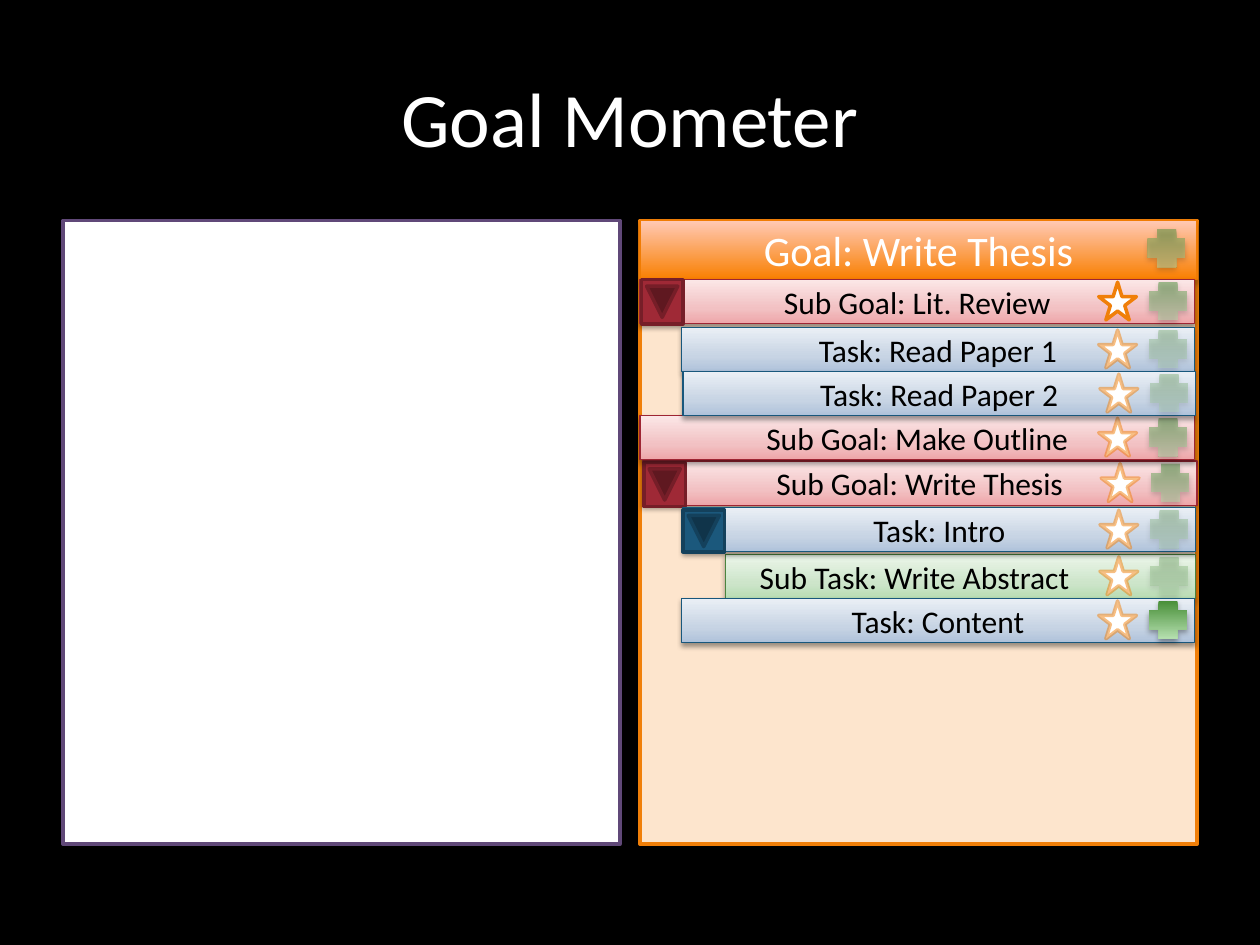
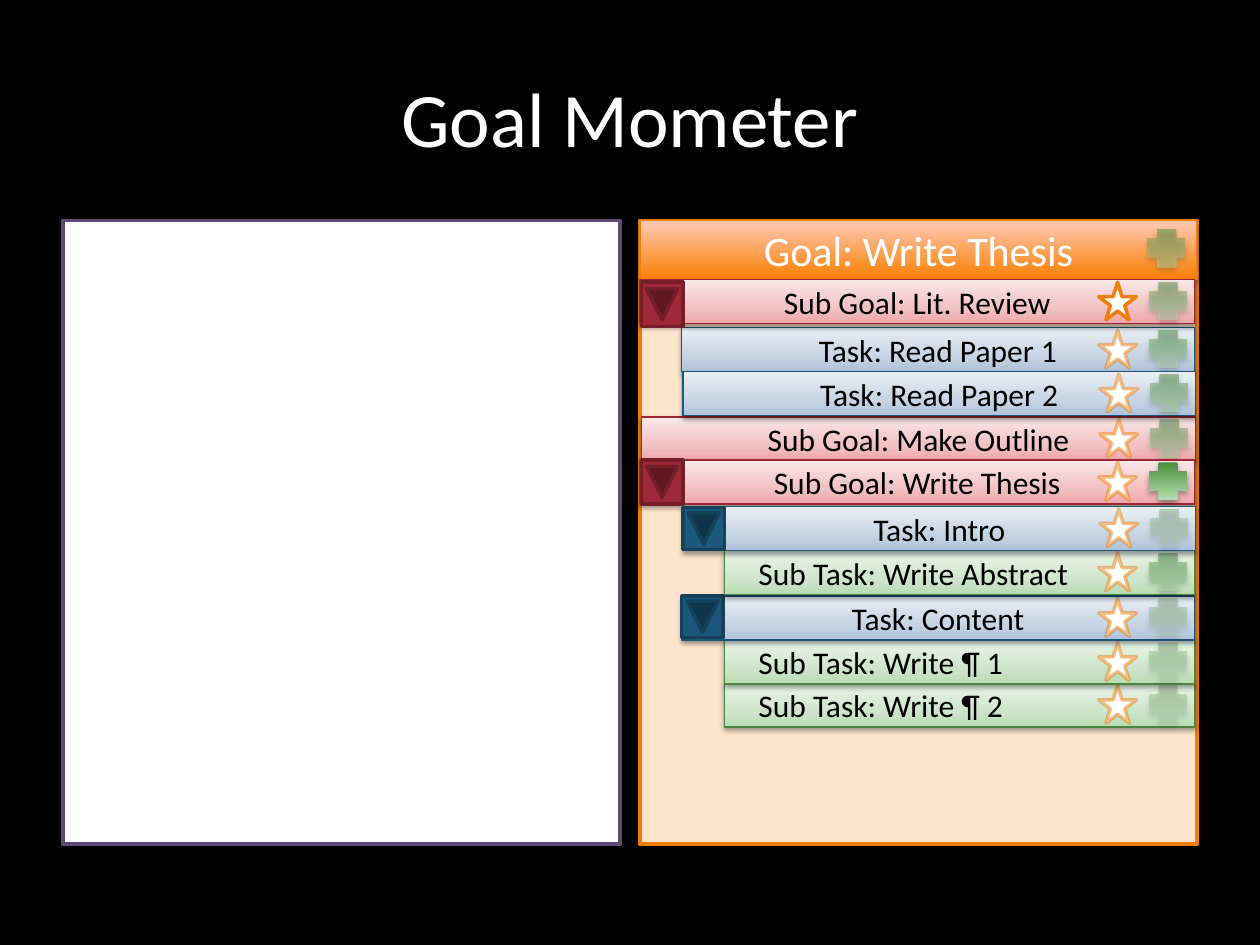
import pptx
import pptx.dml.color
import pptx.enum.shapes
import pptx.enum.text
import pptx.oxml.ns
import pptx.oxml.xmlchemy
import pptx.util
from dataclasses import dataclass
from typing import Optional

Inches = pptx.util.Inches
Pt = pptx.util.Pt
SHAPE = pptx.enum.shapes.MSO_SHAPE
ALIGN = pptx.enum.text.PP_ALIGN
MIDDLE = pptx.enum.text.MSO_ANCHOR.MIDDLE
qn = pptx.oxml.ns.qn
new_element = pptx.oxml.xmlchemy.OxmlElement

FONT = "Calibri"
BLACK, WHITE, ORANGE = "000000", "FFFFFF", "F07F09"
PANEL_TOP, PANEL_WIDTH, PANEL_HEIGHT = 1.75, 4.42, 4.95
NOTES_LEFT, GOAL_LEFT = 0.5, 5.08
ROW_RIGHT, ROW_HEIGHT = 9.48, 0.35
ICON_SIZE, ICON_INSET = 0.3, 0.02
PLUS_LEFT, STAR_LEFT = 9.12, 8.72
GOAL_GRADIENT = [(0, "F97F00"), (100, "FFC9B5")]
PLUS_GRADIENT = [(0, "488F38"), (100, "B5DFAF")]


@dataclass
class Level:
    left: float
    gradient: list
    line: str
    toggle_width: float = 0.33
    toggle_fill: str = ""
    toggle_line: str = ""
    centred: bool = True


@dataclass
class Row:
    level: Level
    label: str
    top: float
    plus_opacity: int = 50
    star_opacity: int = 50
    toggle_inset: Optional[float] = None
    nudge: float = 0


SUB_GOAL = Level(5.08, [(0, "EEA6A9"), (35, "F2C1C3"), (100, "FBE7E7")],
                 "9E2533", 0.35, "9F2936", "761E28")
TASK = Level(5.41, [(0, "AFC2DA"), (35, "C7D4E4"), (100, "EAEFF5")],
             "18577C", 0.33, "1B587C", "14415C")
SUB_TASK = Level(5.75, [(0, "B8DCB3"), (35, "CDE5CA"), (100, "ECF6EA")],
                 "4B843F", centred=False)

LIT_REVIEW = "Sub Goal: Lit. Review"
MAKE_OUTLINE = "Sub Goal: Make Outline"
WRITE_THESIS = "Sub Goal: Write Thesis"
PAPER_1, PAPER_2 = "Task: Read Paper 1", "Task: Read Paper 2"
INTRO, CONTENT = "Task: Intro", "Task: Content"
ABSTRACT = "Sub Task: Write Abstract"

FIRST_PLAN = [
    Row(SUB_GOAL, WRITE_THESIS, 3.66, toggle_inset=0.02, nudge=0.02),
    Row(SUB_TASK, ABSTRACT, 4.4, 30, nudge=0.01),
    Row(TASK, INTRO, 4.03, 30, toggle_inset=0.02, nudge=0.01),
    Row(TASK, CONTENT, 4.75, 100),
    Row(SUB_GOAL, MAKE_OUTLINE, 3.3),
    Row(SUB_GOAL, LIT_REVIEW, 2.22, star_opacity=100, toggle_inset=0.01),
    Row(TASK, PAPER_1, 2.6, 30),
    Row(TASK, PAPER_2, 2.95, 30, nudge=0.01),
]
EXPANDED_PLAN = [
    Row(SUB_TASK, "Sub Task: Write ¶ 2", 5.42, 30),
    Row(SUB_TASK, "Sub Task: Write ¶ 1", 5.08, 30),
    Row(TASK, CONTENT, 4.73, 30, toggle_inset=0),
    Row(SUB_TASK, ABSTRACT, 4.37),
    Row(SUB_GOAL, MAKE_OUTLINE, 3.31, nudge=0.01),
    Row(TASK, PAPER_1, 2.6),
    Row(SUB_GOAL, LIT_REVIEW, 2.22, star_opacity=100, toggle_inset=0.03),
    Row(TASK, PAPER_2, 2.95, nudge=0.01),
    Row(SUB_GOAL, WRITE_THESIS, 3.65, 100, toggle_inset=0.01),
    Row(TASK, INTRO, 4.02, 30, toggle_inset=0.01, nudge=0.01),
]


def rgb(value):
    return pptx.dml.color.RGBColor.from_string(value)


def set_opacity(colour_element, percent):
    if percent < 100:
        alpha = new_element("a:alpha")
        alpha.set("val", str(percent * 1000))
        colour_element.append(alpha)


def add_colour(parent, value, opacity):
    colour = new_element("a:srgbClr")
    colour.set("val", value)
    set_opacity(colour, opacity)
    parent.append(colour)


def add_block(shapes, kind, left, top, width, height, line=None, line_width=2, fill=None):
    block = shapes.add_shape(kind, Inches(left), Inches(top), Inches(width), Inches(height))
    block.shadow.inherit = False
    if fill:
        block.fill.solid()
        block.fill.fore_color.rgb = rgb(fill)
    if line:
        block.line.color.rgb = rgb(line)
        block.line.width = Pt(line_width)
    else:
        block.line.fill.background()
    return block


def set_gradient(block, stops, opacity=100):
    gradient = new_element("a:gradFill")
    gradient.set("rotWithShape", "1")
    stop_list = new_element("a:gsLst")
    for position, value in stops:
        stop = new_element("a:gs")
        stop.set("pos", str(position * 1000))
        add_colour(stop, value, opacity)
        stop_list.append(stop)
    direction = new_element("a:lin")
    direction.set("ang", "16200000")
    direction.set("scaled", "0")
    gradient.extend([stop_list, direction])
    block._element.spPr.find(qn("a:prstGeom")).addnext(gradient)


def set_shadow(block, opacity=35, distance=1.8):
    shadow = new_element("a:outerShdw")
    shadow.set("blurRad", str(int(Pt(3.1))))
    shadow.set("dist", str(int(Pt(distance))))
    shadow.set("dir", "5400000")
    shadow.set("rotWithShape", "0")
    add_colour(shadow, BLACK, opacity)
    block._element.spPr.find(qn("a:effectLst")).append(shadow)


def set_label(shape, label, size, colour, alignment=ALIGN.CENTER):
    frame = shape.text_frame
    frame.text = label
    frame.word_wrap = True
    frame.vertical_anchor = MIDDLE
    paragraph = frame.paragraphs[0]
    paragraph.alignment = alignment
    font = paragraph.runs[0].font
    font.name, font.size, font.color.rgb = FONT, Pt(size), rgb(colour)


def add_plus(shapes, left, top, opacity):
    plus = add_block(shapes, SHAPE.CROSS, left, top, ICON_SIZE, ICON_SIZE)
    set_gradient(plus, PLUS_GRADIENT, opacity)
    set_shadow(plus)
    plus._element.spPr.find(qn("a:xfrm")).set("flipV", "1")


def add_star(shapes, left, top, opacity):
    star = add_block(shapes, SHAPE.STAR_5_POINT, left, top, ICON_SIZE, ICON_SIZE,
                     ORANGE, fill=WHITE)
    outline = star._element.spPr.find(qn("a:ln"))
    set_opacity(outline.find(".//" + qn("a:srgbClr")), opacity)


def add_row(slide, row):
    level = row.level
    shapes = slide.shapes.add_group_shape().shapes
    left = level.left + row.nudge
    bar = add_block(shapes, SHAPE.RECTANGLE, left, row.top,
                    ROW_RIGHT - level.left, ROW_HEIGHT, level.line, 0.75)
    set_gradient(bar, level.gradient)
    set_shadow(bar, 38, 1.6)
    set_label(bar, row.label, 18, BLACK, ALIGN.CENTER if level.centred else ALIGN.LEFT)
    if not level.centred:
        bar.text_frame.margin_left = Inches(0.27)
    icon_top = row.top + ICON_INSET
    add_plus(shapes, PLUS_LEFT + row.nudge, icon_top, row.plus_opacity)
    add_star(shapes, STAR_LEFT + row.nudge, icon_top, row.star_opacity)
    if row.toggle_inset is not None:
        toggle = add_block(shapes, SHAPE.ACTION_BUTTON_FORWARD_OR_NEXT, left,
                           row.top + row.toggle_inset, level.toggle_width, 0.33,
                           level.toggle_line, fill=level.toggle_fill)
        toggle.rotation = 90


def add_panel(shapes, left, fill, line):
    add_block(shapes, SHAPE.RECTANGLE, left, PANEL_TOP, PANEL_WIDTH, PANEL_HEIGHT,
              line, fill=fill)


def add_goal_panel(slide):
    shapes = slide.shapes.add_group_shape().shapes
    add_panel(shapes, GOAL_LEFT, "FDE5CD", ORANGE)
    goal = add_block(shapes, SHAPE.RECTANGLE, GOAL_LEFT, PANEL_TOP, PANEL_WIDTH, 0.47,
                     "F07C03", 0.75)
    set_gradient(goal, GOAL_GRADIENT)
    set_shadow(goal)
    set_label(goal, "Goal: Write Thesis", 24, WHITE)
    add_plus(slide.shapes, 9.11, 1.82, 50)


def add_title(slide, text):
    title = slide.shapes.title
    title.left, title.top = Inches(0.5), Inches(0.3)
    title.width, title.height = Inches(9), Inches(1.25)
    set_label(title, text, 44, WHITE)


def add_plan_slide(deck, plan):
    slide = deck.slides.add_slide(deck.slide_layouts[5])
    add_title(slide, "Goal Mometer")
    add_panel(slide.shapes, NOTES_LEFT, WHITE, "604878")
    add_goal_panel(slide)
    for row in plan:
        add_row(slide, row)


def main():
    deck = pptx.Presentation()
    deck.slide_width, deck.slide_height = Inches(10), Inches(7.5)
    backdrop = deck.slide_master.background.fill
    backdrop.solid()
    backdrop.fore_color.rgb = rgb(BLACK)
    for plan in (FIRST_PLAN, EXPANDED_PLAN):
        add_plan_slide(deck, plan)
    deck.save("out.pptx")


if __name__ == "__main__":
    main()
